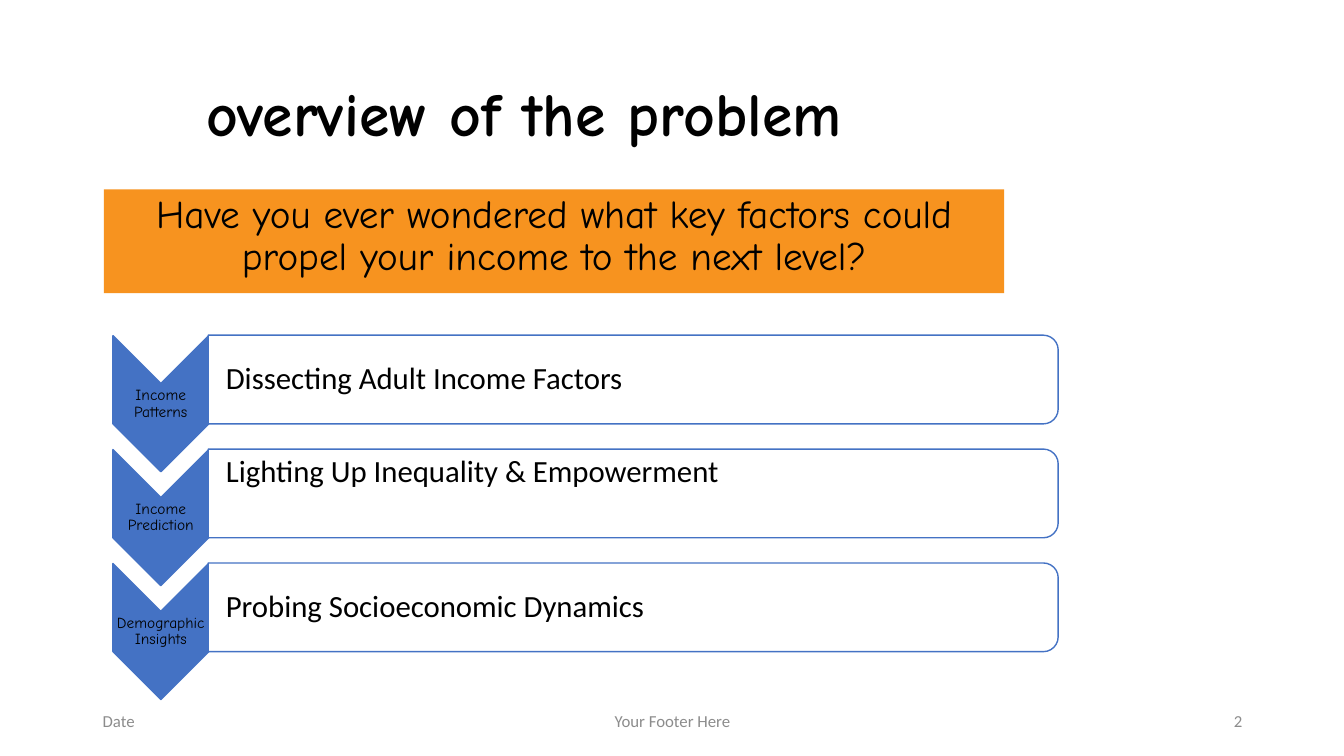
import pptx
import pptx.util
import pptx.dml.color
import pptx.enum.shapes
import pptx.enum.text

Inches = pptx.util.Inches
Pt = pptx.util.Pt
SHAPE = pptx.enum.shapes.MSO_SHAPE
ALIGN = pptx.enum.text.PP_ALIGN
ANCHOR = pptx.enum.text.MSO_ANCHOR
COLORS = {"text": "000000", "banner": "F7931F", "step": "4472C4",
          "panel": "FFFFFF", "footer": "8C8C8C"}


def color(name):
    return pptx.dml.color.RGBColor.from_string(COLORS[name])


def write(box, words, size, font, align, anchor=ANCHOR.MIDDLE, spacing=0.9,
          ink="text", insets=(0.1, 0.05, 0.1, 0.05), bold=False):
    frame = box.text_frame
    frame.text = words
    frame.word_wrap = True
    frame.vertical_anchor = anchor
    frame.margin_left, frame.margin_top, frame.margin_right, frame.margin_bottom = map(Inches, insets)
    paragraph = frame.paragraphs[0]
    paragraph.alignment = align
    paragraph.line_spacing = spacing
    letters = paragraph.runs[0].font
    letters.size = Pt(size)
    letters.name = font
    letters.bold = bold
    letters.color.rgb = color(ink)


deck = pptx.Presentation()
deck.slide_width = Inches(13.33)
deck.slide_height = Inches(7.5)
slide = deck.slides.add_slide(deck.slide_layouts[6])
shapes = slide.shapes

title = shapes.add_textbox(Inches(1.12), Inches(0.43), Inches(8.16), Inches(1.45))
write(title, "overview of the problem", 44, "Comic Neue", ALIGN.CENTER, bold=True)

question = shapes.add_shape(SHAPE.RECTANGLE, Inches(1.03), Inches(1.88), Inches(8.93), Inches(1.03))
question.shadow.inherit = False
question.fill.solid()
question.fill.fore_color.rgb = color("banner")
question.line.fill.background()
write(question, "Have you ever wondered what key factors could propel your income to the next level?",
      28, "Comic Neue", ALIGN.CENTER, ANCHOR.TOP)
question.text_frame.paragraphs[0].space_before = Pt(10)
question.text_frame.paragraphs[0].space_after = Pt(12)

footers = [("Date", 0.92, 3, ALIGN.LEFT),
           ("Your Footer Here", 4.42, 4.5, ALIGN.CENTER),
           ("2", 9.42, 3, ALIGN.RIGHT)]
for words, left, width, align in footers:
    footer = shapes.add_textbox(Inches(left), Inches(6.95), Inches(width), Inches(0.4))
    write(footer, words, 12, "Calibri", align, spacing=1, ink="footer")

steps = [("Income Patterns", "Dissecting Adult Income Factors", ANCHOR.MIDDLE),
         ("Income Prediction", "Lighting Up Inequality & Empowerment", ANCHOR.TOP),
         ("Demographic Insights", "Probing Socioeconomic Dynamics", ANCHOR.MIDDLE)]
for index, (topic, detail, anchor) in enumerate(steps):
    drop = 1.13 * index
    arrow = shapes.add_shape(SHAPE.CHEVRON, Inches(0.92), Inches(3.53 + drop), Inches(1.35), Inches(0.95))
    panel = shapes.add_shape(SHAPE.ROUND_2_SAME_RECTANGLE, Inches(5.84), Inches(-0.45 + drop),
                             Inches(0.88), Inches(8.43))
    for part, fill in ((arrow, "step"), (panel, "panel")):
        part.rotation = 90
        part.shadow.inherit = False
        part.fill.solid()
        part.fill.fore_color.rgb = color(fill)
        part.line.color.rgb = color("step")
        part.line.width = Pt(1)

    topic_label = shapes.add_textbox(Inches(1.12), Inches(3.8 + drop), Inches(0.95), Inches(0.41))
    write(topic_label, topic, 11, "Comic Neue", ALIGN.CENTER, insets=(0.01,) * 4)
    detail_label = shapes.add_textbox(Inches(2.07), Inches(3.37 + drop), Inches(8.39), Inches(0.79))
    write(detail_label, detail, 22, "Calibri", ALIGN.LEFT, anchor, insets=(0.17, 0.02, 0.02, 0.02))

deck.save("out.pptx")
